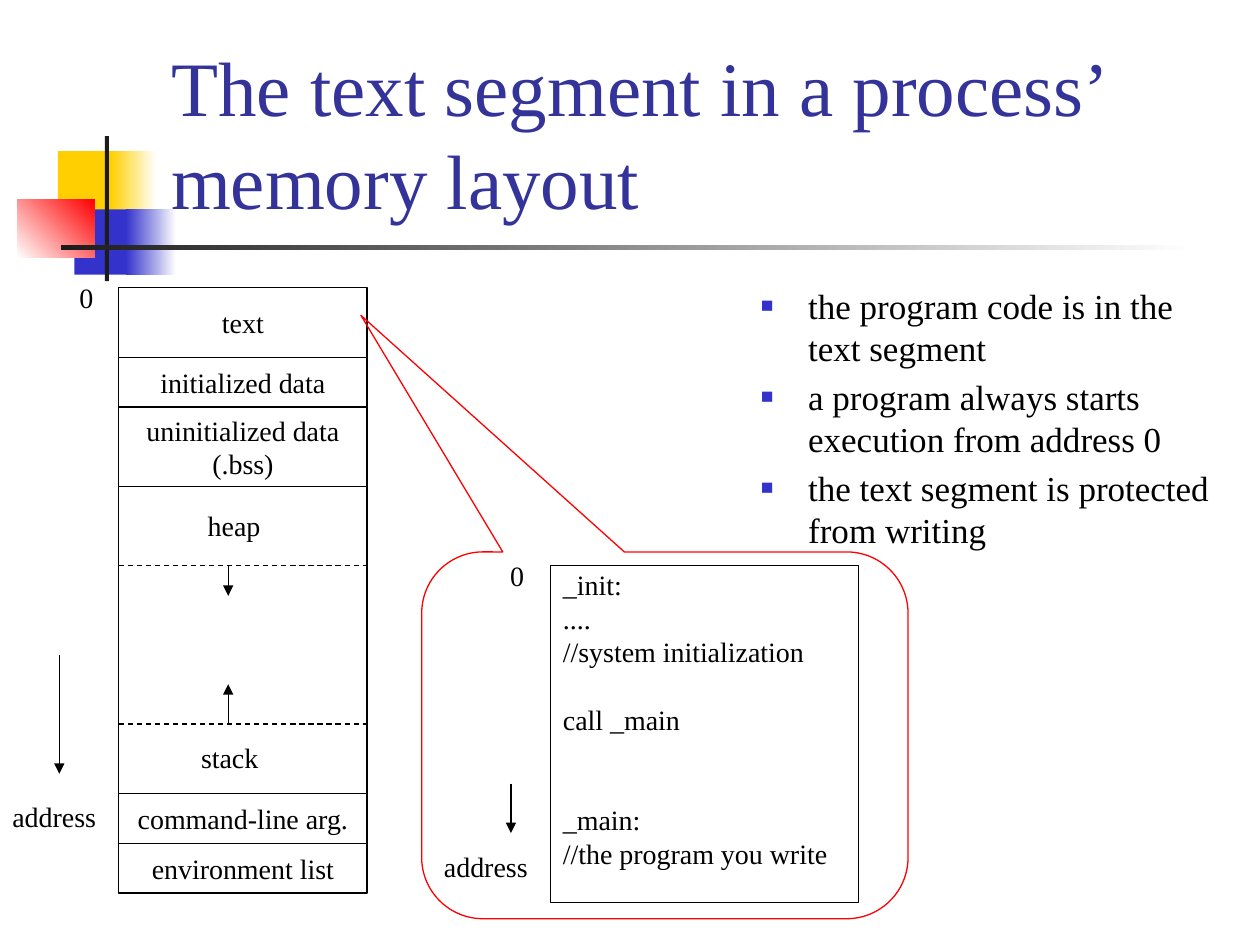
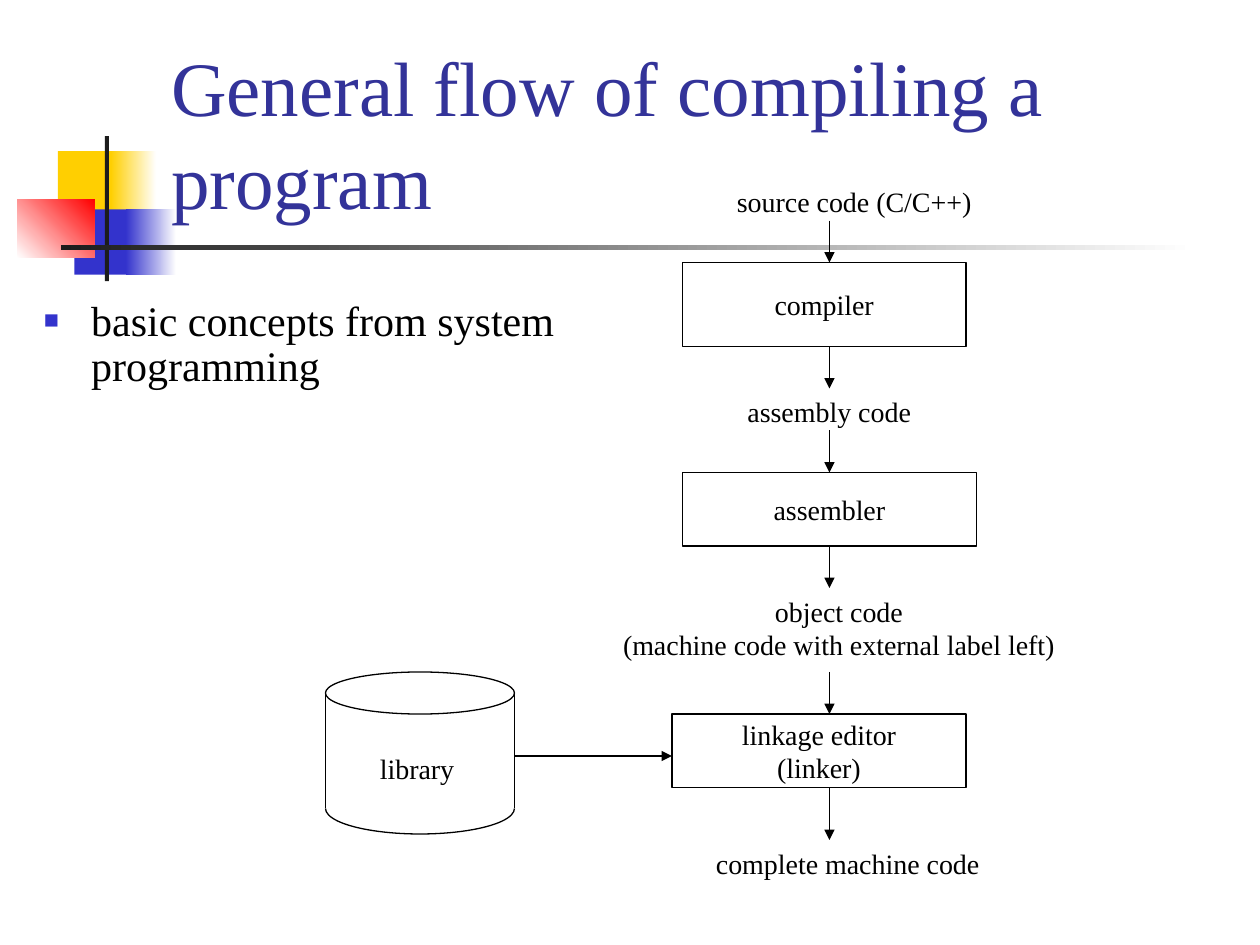
"""Build two slides on process memory layout and the compiling flow."""
from dataclasses import dataclass

from lxml import etree
from pptx import Presentation
from pptx.dml.color import RGBColor
from pptx.enum.dml import MSO_LINE
from pptx.enum.shapes import MSO_CONNECTOR, MSO_SHAPE
from pptx.enum.text import MSO_ANCHOR, MSO_AUTO_SIZE, PP_ALIGN
from pptx.oxml.ns import qn
from pptx.shapes.autoshape import Shape
from pptx.slide import Slide
from pptx.text.text import TextFrame
from pptx.util import Pt

RECTANGLE = MSO_SHAPE.RECTANGLE
ELLIPSE = MSO_SHAPE.OVAL
ARC = MSO_SHAPE.ARC
CALLOUT = MSO_SHAPE.ROUNDED_RECTANGULAR_CALLOUT
STRAIGHT = MSO_CONNECTOR.STRAIGHT
DASH = MSO_LINE.DASH
LEFT = PP_ALIGN.LEFT
CENTER = PP_ALIGN.CENTER
TOP = MSO_ANCHOR.TOP
MIDDLE = MSO_ANCHOR.MIDDLE
BOTTOM = MSO_ANCHOR.BOTTOM
GROW = MSO_AUTO_SIZE.SHAPE_TO_FIT_TEXT


@dataclass(frozen=True)
class Theme:
    font: str = "Times New Roman"
    title: str = "333399"
    ink: str = "000000"
    bullet: str = "3333CC"
    blue: str = "3333CC"
    yellow: str = "FFCF01"
    red: str = "FF0000"
    dark: str = "1C1C1C"
    paper: str = "FFFFFF"
    title_size: float = 44
    large_body_size: float = 24
    body_size: float = 20
    label_size: float = 16
    label_pitch: float = 19.1
    line_width: float = 0.75


THEME = Theme()


@dataclass(frozen=True)
class Box:
    left: float
    top: float
    width: float
    height: float


@dataclass(frozen=True)
class Band:
    box: Box
    start: str
    end: str = ""
    angle: float = 0


@dataclass(frozen=True)
class TextLine:
    text: str
    blank_lines: int = 0


@dataclass(frozen=True)
class Label:
    text: str
    box: Box
    align: PP_ALIGN = LEFT


@dataclass(frozen=True)
class Arrow:
    x1: float
    y1: float
    x2: float
    y2: float


@dataclass(frozen=True)
class Segment:
    text: str
    height: float


BANDS = (
    Band(Box(33.1, 86.4, 34.6, 37.4), THEME.yellow),
    Band(Box(63.4, 86.4, 25.9, 37.4), THEME.yellow, THEME.paper),
    Band(Box(42.5, 119.6, 33.1, 37.4), THEME.blue),
    Band(Box(72, 119.6, 28.8, 37.4), THEME.blue, THEME.paper),
    Band(Box(9.8, 113.8, 44.2, 33.4), THEME.paper, THEME.red, 45),
    Band(Box(59.9, 77.8, 2.4, 82.8), THEME.dark),
    Band(Box(34.8, 140.2, 648, 2.5), THEME.dark, THEME.paper),
)


def color(value: str) -> RGBColor:
    return RGBColor.from_string(value)


def write_lines(frame: TextFrame, lines: list[TextLine], size: float,
                ink: str = THEME.ink, align: PP_ALIGN = LEFT) -> None:
    for index, line in enumerate(lines):
        paragraph = frame.add_paragraph() if index else frame.paragraphs[0]
        paragraph.alignment = align
        if line.blank_lines:
            paragraph.space_before = Pt(line.blank_lines * THEME.label_pitch)
        run = paragraph.add_run()
        run.text = line.text
        run.font.name = THEME.font
        run.font.size = Pt(size)
        run.font.color.rgb = color(ink)


def split_lines(text: str) -> list[TextLine]:
    return [TextLine(part) for part in text.split("\n")]


def add_text_box(slide: Slide, box: Box) -> TextFrame:
    shape = slide.shapes.add_textbox(
        Pt(box.left), Pt(box.top), Pt(box.width), Pt(box.height))
    shape.text_frame.word_wrap = True
    return shape.text_frame


def add_plain_shape(slide: Slide, kind: MSO_SHAPE, box: Box) -> Shape:
    shape = slide.shapes.add_shape(
        kind, Pt(box.left), Pt(box.top), Pt(box.width), Pt(box.height))
    shape.shadow.inherit = False
    return shape


def add_outline(slide: Slide, kind: MSO_SHAPE, box: Box,
                ink: str = THEME.ink) -> Shape:
    shape = add_plain_shape(slide, kind, box)
    shape.fill.background()
    shape.line.color.rgb = color(ink)
    shape.line.width = Pt(THEME.line_width)
    return shape


def add_block(slide: Slide, box: Box, text: str = "") -> Shape:
    shape = add_outline(slide, RECTANGLE, box)
    if text:
        frame = shape.text_frame
        frame.word_wrap = False
        frame.vertical_anchor = MIDDLE
        write_lines(frame, split_lines(text), THEME.label_size, align=CENTER)
    return shape


def add_band(slide: Slide, band: Band) -> None:
    shape = add_plain_shape(slide, RECTANGLE, band.box)
    shape.line.fill.background()
    if not band.end:
        shape.fill.solid()
        shape.fill.fore_color.rgb = color(band.start)
        return
    shape.fill.gradient()
    shape.fill.gradient_angle = band.angle
    for stop, value in zip(shape.fill.gradient_stops, (band.start, band.end)):
        stop.color.rgb = color(value)


def add_line(slide: Slide, line: Arrow, dashed: bool = False,
             head: bool = False) -> None:
    connector = slide.shapes.add_connector(
        STRAIGHT, Pt(line.x1), Pt(line.y1), Pt(line.x2), Pt(line.y2))
    connector.line.color.rgb = color(THEME.ink)
    connector.line.width = Pt(THEME.line_width)
    if dashed:
        connector.line.dash_style = DASH
    properties = connector.element.spPr
    if head:
        etree.SubElement(properties.find(qn("a:ln")), qn("a:tailEnd"), type="triangle")
    etree.SubElement(properties, qn("a:effectLst"))


def add_label(slide: Slide, label: Label) -> None:
    frame = add_text_box(slide, label.box)
    frame.word_wrap = False
    frame.auto_size = GROW
    write_lines(frame, split_lines(label.text), THEME.label_size, align=label.align)


def add_bullets(slide: Slide, box: Box, texts: list[str], size: float,
                spacing: float = 1.0) -> None:
    frame = add_text_box(slide, box)
    write_lines(frame, [TextLine(text) for text in texts], size)
    for paragraph in frame.paragraphs:
        paragraph.line_spacing = spacing
        paragraph.space_before = Pt(size * 0.2)
        properties = paragraph._p.get_or_add_pPr()
        properties.set("marL", str(Pt(27)))
        properties.set("indent", str(-Pt(27)))
        bullet_color = etree.SubElement(properties, qn("a:buClr"))
        etree.SubElement(bullet_color, qn("a:srgbClr"), val=THEME.bullet)
        etree.SubElement(properties, qn("a:buSzPct"), val="60000")
        etree.SubElement(properties, qn("a:buFont"), typeface=THEME.font)
        etree.SubElement(properties, qn("a:buChar"), char="■")


def add_base_slide(presentation: Presentation, title: str) -> Slide:
    slide = presentation.slides.add_slide(presentation.slide_layouts[6])
    for band in BANDS:
        add_band(slide, band)
    frame = add_text_box(slide, Box(90.7, 16.6, 613.4, 115.2))
    frame.vertical_anchor = BOTTOM
    write_lines(frame, split_lines(title), THEME.title_size, THEME.title)
    return slide


def add_address_axis(slide: Slide, zero: Box, arrow: Arrow, address: Box) -> None:
    add_label(slide, Label("0", zero))
    add_line(slide, arrow, head=True)
    add_label(slide, Label("address", address))


def build_memory_slide(presentation: Presentation) -> None:
    slide = add_base_slide(presentation, "The text segment in a process’ memory layout")
    add_bullets(slide, Box(427.7, 159.1, 277.2, 324), [
        "the program code is in the text segment",
        "a program always starts execution from address 0",
        "the text segment is protected from writing",
    ], THEME.body_size)
    left, width, top = 67.9, 141.9, 164.4
    for segment in (
        Segment("text", 39.8),
        Segment("initialized data", 28.35),
        Segment("uninitialized data\n(.bss)", 45.35),
        Segment("", 175.7),
        Segment("command-line arg.", 28.35),
        Segment("environment list", 28.35),
    ):
        add_block(slide, Box(left, top, width, segment.height), segment.text)
        top += segment.height
    add_label(slide, Label("heap", Box(111.6, 287.3, 44.6, 26.6)))
    add_label(slide, Label("stack", Box(107.8, 419.8, 47.5, 26.6)))
    for edge, tip in ((323.2, 340.5), (413.8, 391)):
        add_line(slide, Arrow(left, edge, left + width, edge), dashed=True)
        add_line(slide, Arrow(130.4, edge, 130.4, tip), head=True)
    add_address_axis(slide, Box(38.2, 157, 22.3, 26.6),
                     Arrow(33.9, 374.4, 33.9, 442.2), Box(0, 453.6, 62.6, 26.6))

    callout = add_outline(slide, CALLOUT, Box(241, 315.4, 277.9, 209.6), THEME.red)
    for index, value in enumerate((-0.625, -1.145, 0.167)):
        callout.adjustments[index] = value
    code = add_block(slide, Box(314.6, 323.2, 175.9, 192.7)).text_frame
    code.word_wrap = False
    code.vertical_anchor = TOP
    code.margin_top = Pt(1.3)
    write_lines(code, [
        TextLine("_init:"),
        TextLine("...."),
        TextLine("//system initialization"),
        TextLine("call _main", 1),
        TextLine("_main:", 2),
        TextLine("//the program you write"),
    ], THEME.label_size)
    add_address_axis(slide, Box(284.4, 315.4, 22.3, 26.6),
                     Arrow(292, 447.8, 292, 476), Box(246.6, 481.7, 62.6, 26.6))


def build_compile_slide(presentation: Presentation) -> None:
    slide = add_base_slide(presentation, "General flow of compiling a program")
    add_bullets(slide, Box(18, 167.8, 329.8, 59.8),
                ["basic concepts from system programming"], THEME.large_body_size, 0.9)
    add_block(slide, Box(390, 150, 162, 48), "compiler")
    add_block(slide, Box(390, 270, 168, 42), "assembler")
    add_block(slide, Box(384, 408, 168, 42), "linkage editor\n(linker)")
    for label in (
        Label("source code (C/C++)", Box(414, 102, 149, 26.6)),
        Label("assembly code", Box(420, 222, 108.7, 26.6)),
        Label("object code\n(machine code with external label left)",
              Box(348, 336, 262.8, 46.1), CENTER),
        Label("complete machine code", Box(402, 480, 166.3, 26.6)),
        Label("library", Box(210, 426, 57.6, 26.6)),
    ):
        add_label(slide, label)
    for start, end in ((126, 150), (198, 222), (246, 270),
                       (312, 336), (384, 408), (450, 480)):
        add_line(slide, Arrow(474, start, 474, end), head=True)

    left, right = 186, 294
    add_outline(slide, ELLIPSE, Box(left, 384, right - left, 24))
    for side in (left, right):
        add_line(slide, Arrow(side, 396, side, 462))
    base = add_outline(slide, ARC, Box(left, 447.4, right - left, 29.2))
    base.adjustments[0] = 0
    base.adjustments[1] = 108
    add_line(slide, Arrow(right, 432, 384, 432), head=True)


def main() -> None:
    presentation = Presentation()
    presentation.slide_width = Pt(720)
    presentation.slide_height = Pt(540)
    build_memory_slide(presentation)
    build_compile_slide(presentation)
    presentation.save("out.pptx")


main()
